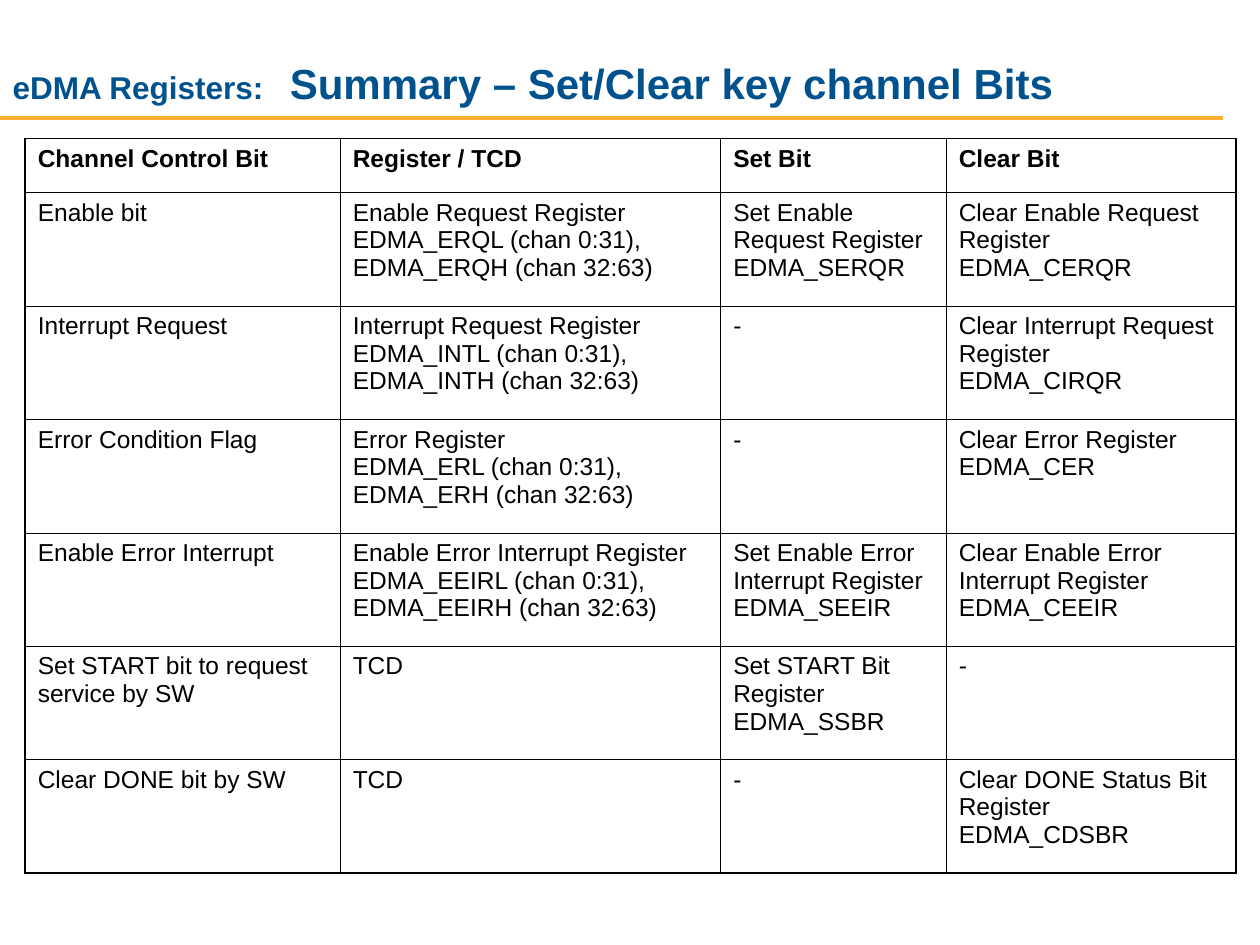
import dataclasses

import lxml.etree
import pptx
import pptx.dml.color
import pptx.enum.shapes
import pptx.enum.text
import pptx.oxml.ns
import pptx.util


@dataclasses.dataclass(frozen=True)
class Theme:
    font: str = "Arial"
    heading: str = "00528E"
    rule: str = "FBB034"
    ink: str = "000000"
    topic_size: float = 18
    gap_size: float = 28
    title_size: float = 24
    table_size: float = 14
    space_before: float = 3.5
    rule_width: float = 2.25
    outer_border: float = 1.08
    inner_border: float = 0.45


theme = Theme()
Inches, Pt = pptx.util.Inches, pptx.util.Pt
qn = pptx.oxml.ns.qn


def style_font(font, size, color, bold):
    font.name = theme.font
    font.size = Pt(size)
    font.bold = bold
    font.color.rgb = pptx.dml.color.RGBColor.from_string(color)


def add_border(cell, side, width):
    """Append one border; call before the cell's fill is set, in the order L, R, T, B."""
    properties = cell._tc.get_or_add_tcPr()
    line = lxml.etree.SubElement(properties, qn(f"a:ln{side}"), w=str(Pt(width)))
    fill = lxml.etree.SubElement(line, qn("a:solidFill"))
    lxml.etree.SubElement(fill, qn("a:srgbClr"), val=theme.ink)


presentation = pptx.Presentation()
presentation.slide_width = Inches(10)
presentation.slide_height = Inches(7.5)
slide = presentation.slides.add_slide(presentation.slide_layouts[5])

# Rule under the title
rule = slide.shapes.add_connector(
    pptx.enum.shapes.MSO_CONNECTOR.STRAIGHT, 0, Inches(0.94), Inches(9.71), Inches(0.94)
)
rule.line.color.rgb = pptx.dml.color.RGBColor.from_string(theme.rule)
rule.line.width = Pt(theme.rule_width)
lxml.etree.SubElement(rule._element.spPr, qn("a:effectLst"))

# Title: topic, then a tab stop, then the heading
title = slide.shapes.title
title.left, title.top, title.width, title.height = 0, Inches(0.17), Inches(8.94), Inches(0.75)
frame = title.text_frame
frame.auto_size = pptx.enum.text.MSO_AUTO_SIZE.NONE
frame.vertical_anchor = pptx.enum.text.MSO_ANCHOR.BOTTOM
paragraph = frame.paragraphs[0]
paragraph.alignment = pptx.enum.text.PP_ALIGN.LEFT
tab_stops = lxml.etree.SubElement(paragraph._p.get_or_add_pPr(), qn("a:tabLst"))
lxml.etree.SubElement(tab_stops, qn("a:tab"), pos=str(Inches(2.2)), algn="l")
for text, size in (
    ("eDMA Registers:", theme.topic_size),
    ("\t", theme.gap_size),
    ("Summary – Set/Clear key channel Bits", theme.title_size),
):
    run = paragraph.add_run()
    run.text = text
    style_font(run.font, size, theme.heading, True)

# Table: a heading row and six equal rows; \v is a line break within a paragraph
rows = [
    ("Channel Control Bit", "Register / TCD", "Set Bit", "Clear Bit"),
    ("Enable bit",
     "Enable Request Register \vEDMA_ERQL (chan 0:31), EDMA_ERQH (chan 32:63)",
     "Set Enable Request Register EDMA_SERQR",
     "Clear Enable Request Register \vEDMA_CERQR"),
    ("Interrupt Request",
     "Interrupt Request Register\vEDMA_INTL (chan 0:31), EDMA_INTH (chan 32:63)",
     "-",
     "Clear Interrupt Request Register \vEDMA_CIRQR"),
    ("Error Condition Flag",
     "Error Register \vEDMA_ERL (chan 0:31),\vEDMA_ERH (chan 32:63)",
     "-",
     "Clear Error Register\vEDMA_CER"),
    ("Enable Error Interrupt",
     "Enable Error Interrupt Register\vEDMA_EEIRL (chan 0:31),\vEDMA_EEIRH (chan 32:63)",
     "Set Enable Error Interrupt Register\vEDMA_SEEIR",
     "Clear Enable Error Interrupt Register\vEDMA_CEEIR"),
    ("Set START bit to request service by SW", "TCD",
     "Set START Bit Register\vEDMA_SSBR", "-"),
    ("Clear DONE bit by SW", "TCD", "-",
     "Clear DONE Status Bit Register \vEDMA_CDSBR"),
]
column_widths = [2.5, 3.02, 1.79, 2.3]
row_heights = [0.43] + [0.9] * (len(rows) - 1)
table = slide.shapes.add_table(
    len(rows), len(column_widths), Inches(0.2), Inches(1.1),
    Inches(sum(column_widths)), Inches(sum(row_heights)),
).table
table.first_row = table.horz_banding = False
for column, width in zip(table.columns, column_widths):
    column.width = Inches(width)
for row, height in zip(table.rows, row_heights):
    row.height = Inches(height)

last_row, last_column = len(rows) - 1, len(column_widths) - 1
for row_index, texts in enumerate(rows):
    for column_index, text in enumerate(texts):
        cell = table.cell(row_index, column_index)
        cell.text = text
        paragraph = cell.text_frame.paragraphs[0]
        paragraph.space_before = Pt(theme.space_before)
        style_font(paragraph.font, theme.table_size, theme.ink, row_index == 0)
        outer_sides = {
            "L": column_index == 0,
            "R": column_index == last_column,
            "T": row_index == 0,
            "B": row_index == last_row,
        }
        for side, is_outer in outer_sides.items():
            add_border(cell, side, theme.outer_border if is_outer else theme.inner_border)
        cell.fill.background()

presentation.save("out.pptx")
